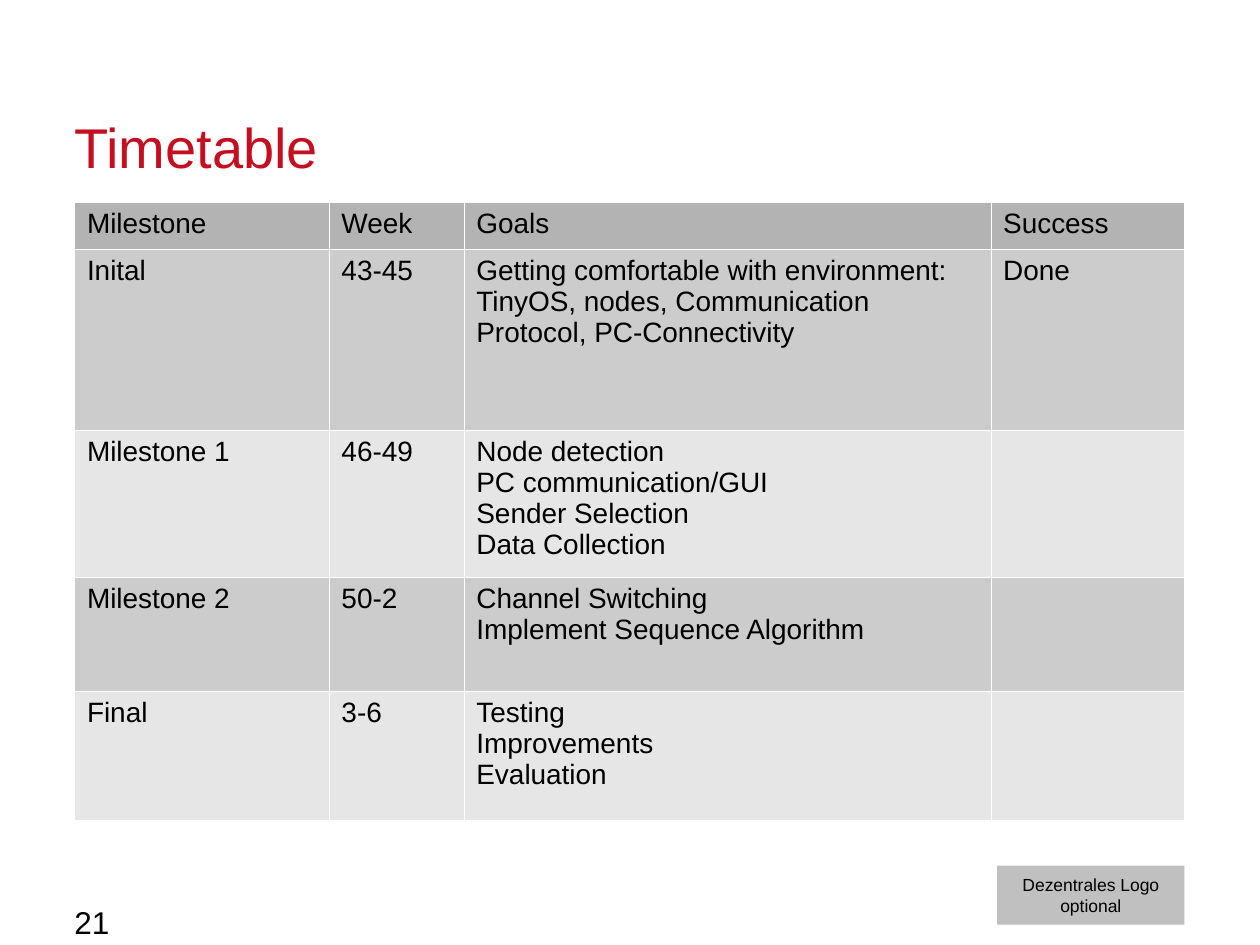
from lxml import etree
from pptx import Presentation, util as u
from pptx.dml.color import RGBColor
from pptx.enum import shapes, text
from pptx.oxml.ns import qn


def colour(value):
    return RGBColor.from_string(value)


class TimetableSlide:
    font_name = "Arial"
    ink = "000000"
    accent = "C50E1F"
    header_fill = "B3B3B3"
    band_fills = ("CCCCCC", "E6E6E6")
    border = "FFFFFF"
    border_points = 0.06

    def __init__(self, deck):
        self.slide = deck.slides.add_slide(deck.slide_layouts[6])

    def fill_text(self, frame, content, size, ink=ink, align=text.PP_ALIGN.LEFT):
        frame.text = content
        for para in frame.paragraphs:
            para.alignment = align
            para.font.name = self.font_name
            para.font.size = u.Pt(size)
            para.font.color.rgb = colour(ink)

    def label(self, area, content, size, ink=ink, anchor=text.MSO_ANCHOR.TOP):
        frame = self.slide.shapes.add_textbox(*map(u.Cm, area)).text_frame
        frame.margin_left = frame.margin_right = 0
        frame.margin_top = frame.margin_bottom = 0
        frame.word_wrap = True
        frame.vertical_anchor = anchor
        self.fill_text(frame, content, size, ink)
        return frame

    def title(self, area, content):
        frame = self.label(area, content, 32, self.accent, text.MSO_ANCHOR.BOTTOM)
        frame.paragraphs[0].line_spacing = u.Pt(30)

    def block(self, area, content, fill):
        box = self.slide.shapes.add_shape(shapes.MSO_SHAPE.RECTANGLE, *map(u.Cm, area))
        box.shadow.inherit = False
        box.fill.solid()
        box.fill.fore_color.rgb = colour(fill)
        box.line.fill.background()
        box.text_frame.word_wrap = False
        box.text_frame.vertical_anchor = text.MSO_ANCHOR.MIDDLE
        self.fill_text(box.text_frame, content, 10, align=text.PP_ALIGN.CENTER)

    def outline(self, cell):
        properties = cell._tc.get_or_add_tcPr()
        for index, side in enumerate(("a:lnL", "a:lnR", "a:lnT", "a:lnB")):
            line = etree.Element(qn(side), w=str(u.Pt(self.border_points)))
            fill = etree.SubElement(line, qn("a:solidFill"))
            etree.SubElement(fill, qn("a:srgbClr"), val=self.border)
            properties.insert(index, line)

    def table(self, left, top, widths, heights, rows):
        area = map(u.Cm, (left, top, sum(widths), sum(heights)))
        table = self.slide.shapes.add_table(len(rows), len(widths), *area).table
        for column, width in zip(table.columns, widths):
            column.width = u.Cm(width)
        for index, (row, height, values) in enumerate(zip(table.rows, heights, rows)):
            row.height = u.Cm(height)
            fill = self.band_fills[(index - 1) % 2] if index else self.header_fill
            for cell, value in zip(row.cells, values):
                self.fill_text(cell.text_frame, value, 16)
                cell.fill.solid()
                cell.fill.fore_color.rgb = colour(fill)
                self.outline(cell)


def main():
    deck = Presentation()
    deck.slide_width, deck.slide_height = u.Cm(25.4), u.Cm(19.05)
    page = TimetableSlide(deck)
    page.block((20.1, 17.45, 3.78, 1.19), "Dezentrales Logo\noptional", "C0C0C0")
    page.title((1.5, 2.03, 22.4, 1.6), "Timetable")
    page.table(
        1.5,
        4.08,
        (5.13, 2.72, 10.62, 3.91),
        (0.93, 3.65, 2.97, 2.29, 2.6),
        (
            ("Milestone", "Week", "Goals", "Success"),
            (
                "Inital",
                "43-45",
                "Getting comfortable with environment: TinyOS, nodes, "
                "Communication Protocol, PC-Connectivity",
                "Done",
            ),
            (
                "Milestone 1",
                "46-49",
                "Node detection\nPC communication/GUI\nSender Selection\nData Collection",
                "",
            ),
            ("Milestone 2", "50-2", "Channel Switching\nImplement Sequence Algorithm", ""),
            ("Final", "3-6", "Testing\nImprovements\nEvaluation", ""),
        ),
    )
    page.label((1.5, 18.21, 18.4, 0.43), "21", 18)
    deck.save("out.pptx")


if __name__ == "__main__":
    main()
